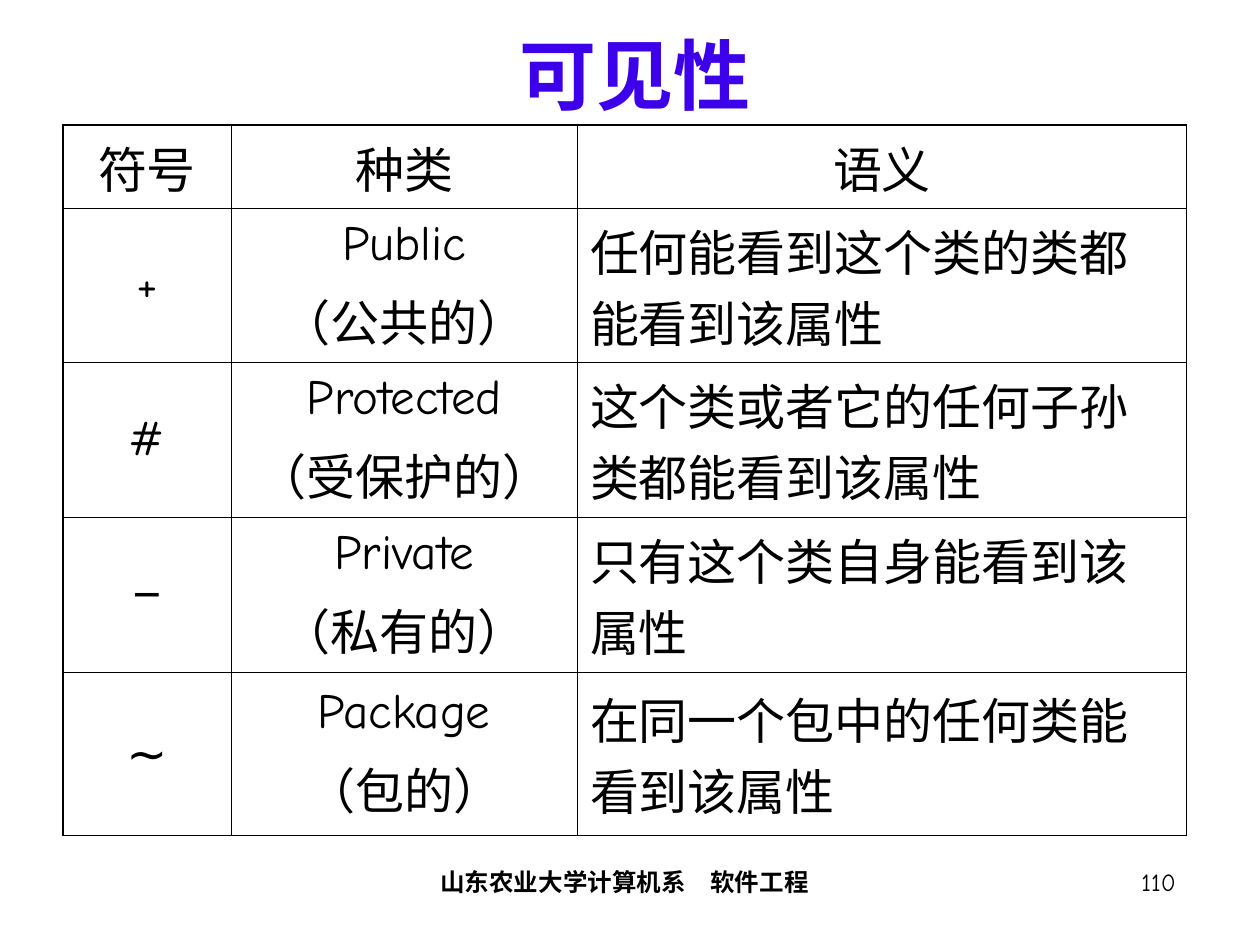
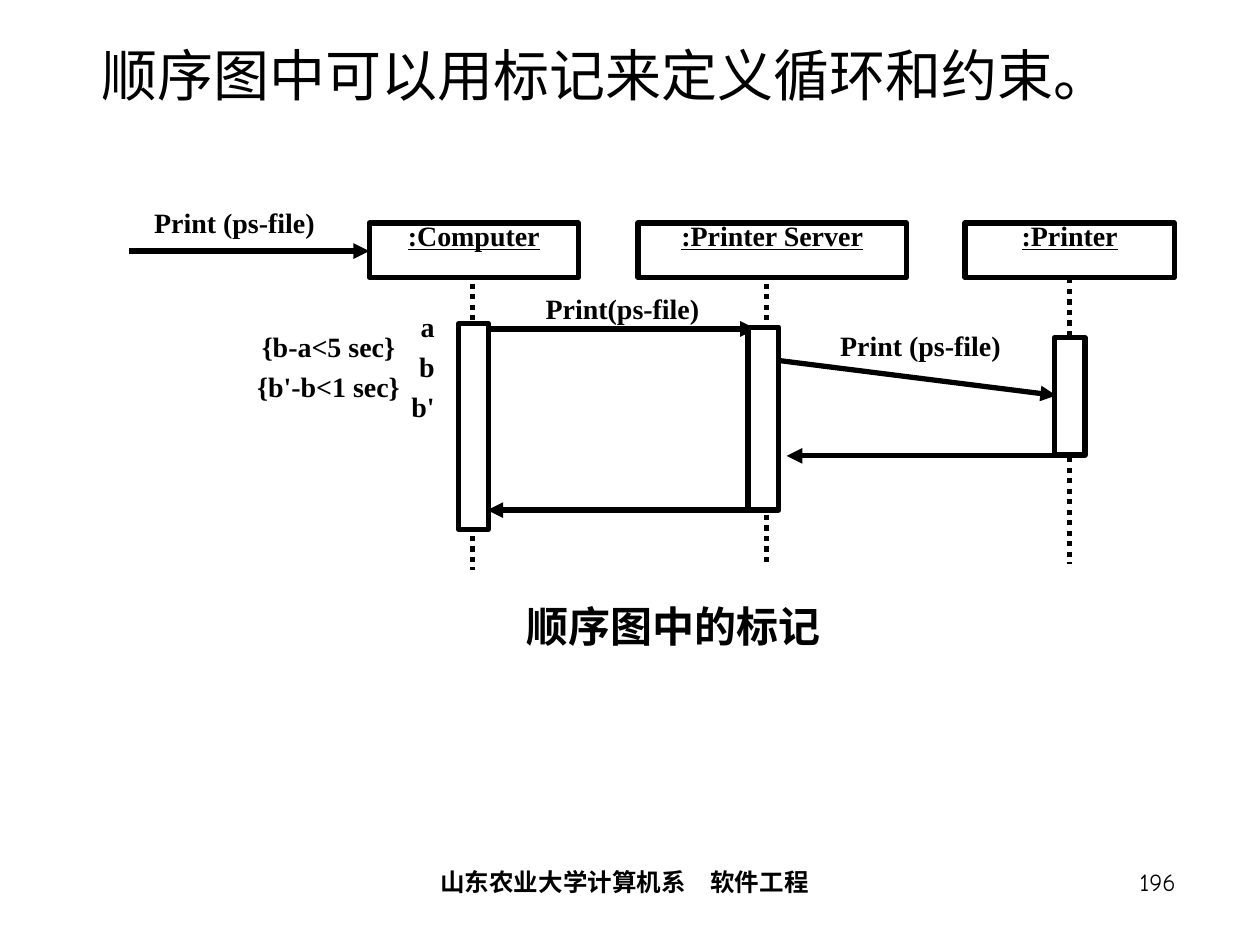
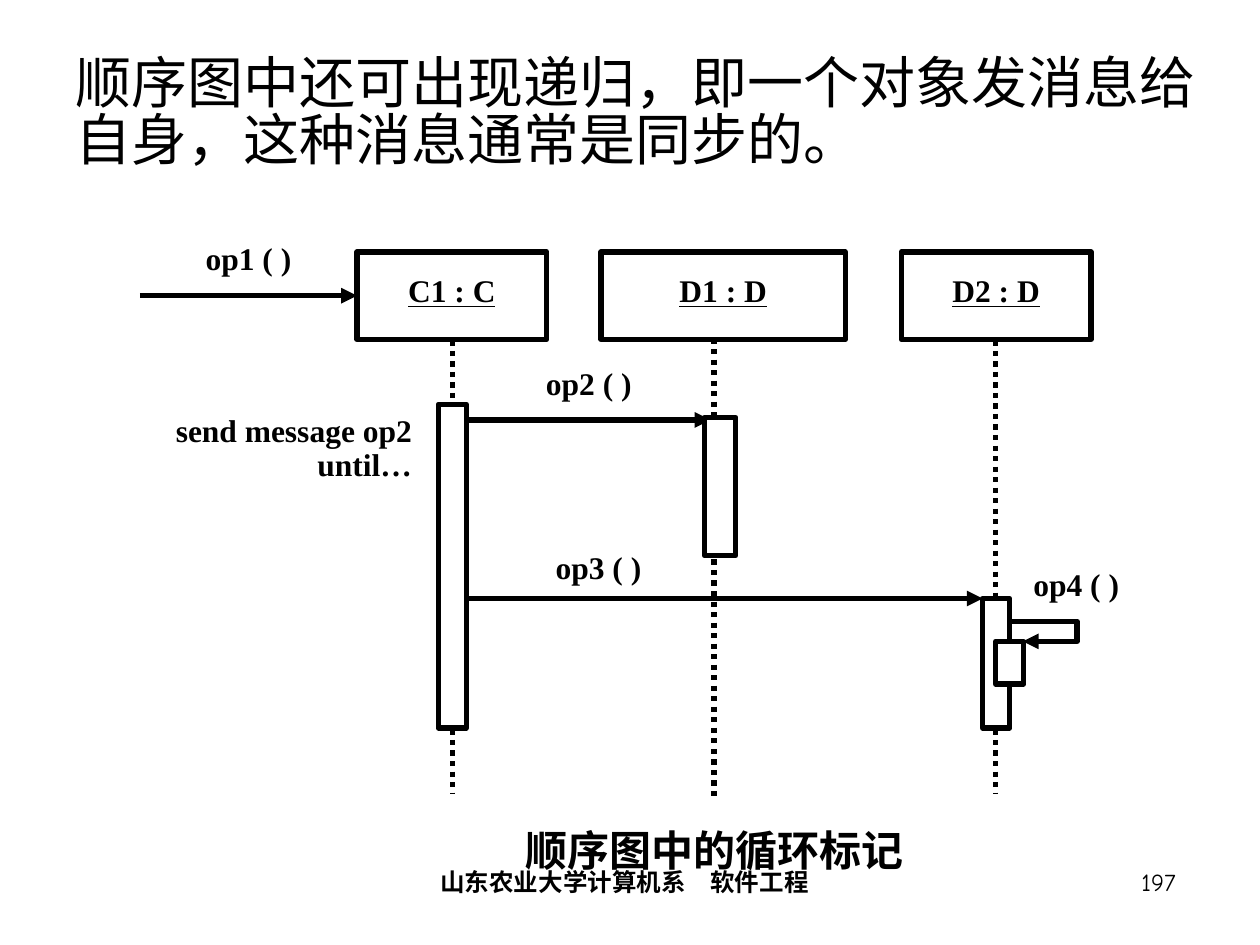
import pptx
import pptx.dml.color
import pptx.enum.dml
import pptx.enum.shapes
import pptx.enum.text
import pptx.util
import pptx.oxml

Pt = pptx.util.Pt
ALIGN = pptx.enum.text.PP_ALIGN
ANCHOR = pptx.enum.text.MSO_ANCHOR
RECTANGLE = pptx.enum.shapes.MSO_SHAPE.RECTANGLE
NAMESPACE = 'xmlns:a="http://schemas.openxmlformats.org/drawingml/2006/main"'
COLORS = {"ink": "000000", "title": "3D00EA", "paper": "FFFFFF"}
RGB = {name: pptx.dml.color.RGBColor.from_string(code) for name, code in COLORS.items()}
BODY, SERIF, SYMBOL = "Comic Neue", "Times New Roman", "Arial"
LINE_WIDTH = Pt(3)


def write(frame, lines, size, font=SERIF, bold=True, align=ALIGN.CENTER,
          anchor=ANCHOR.TOP, spacing=None, color="ink", underline=None):
    """Fill a text frame, one paragraph per line; align may be a list."""
    frame.word_wrap = True
    frame.auto_size = pptx.enum.text.MSO_AUTO_SIZE.NONE
    frame.vertical_anchor = anchor
    frame.text = "\n".join(lines)
    aligns = align if isinstance(align, list) else [align] * len(lines)
    for para, side in zip(frame.paragraphs, aligns):
        para.alignment = side
        para.line_spacing = spacing
        para.font.size = Pt(size)
        para.font.name = font
        para.font.bold = bold
        para.font.underline = underline
        para.font.color.rgb = RGB[color]


def draw_line(page, points, dotted=False):
    """Draw a dotted lifeline, or a message ending in an arrowhead."""
    points = [(Pt(x), Pt(y)) for x, y in points]
    if len(points) == 2:
        stroke = page.shapes.add_connector(
            pptx.enum.shapes.MSO_CONNECTOR.STRAIGHT, *points[0], *points[1])
    else:
        builder = page.shapes.build_freeform(*points[0])
        builder.add_line_segments(points[1:], close=False)
        stroke = builder.convert_to_shape()
        stroke.fill.background()
    stroke.line.color.rgb = RGB["ink"]
    stroke.line.width = LINE_WIDTH
    if dotted:
        stroke.line.dash_style = pptx.enum.dml.MSO_LINE.ROUND_DOT
    else:
        stroke.line._get_or_add_ln().append(
            pptx.oxml.parse_xml(f'<a:tailEnd {NAMESPACE} type="triangle"/>'))
    stroke._element.spPr.append(pptx.oxml.parse_xml(f"<a:effectLst {NAMESPACE}/>"))


deck = pptx.Presentation()
deck.slide_width, deck.slide_height = Pt(720), Pt(540)
title_only = deck.slide_layouts[5]

# Titles of all slides: text, place, left margin and style
titles = [
    ("可见性", (198, 18, 330, 48), 7.2,
     dict(size=44, color="title", anchor=ANCHOR.MIDDLE)),
    ("顺序图中可以用标记来定义循环和约束。", (30, 24, 666, 66), 28,
     dict(size=32, font=BODY, bold=False, align=ALIGN.LEFT, spacing=0.9)),
    ("顺序图中还可出现递归，即一个对象发消息给自身，这种消息通常是同步的。",
     (36, 30, 660, 102), 7.2,
     dict(size=32, font=BODY, bold=False, align=ALIGN.LEFT, spacing=0.84)),
]
for text, place, margin, style in titles:
    title = deck.slides.add_slide(title_only).shapes.title
    title.left, title.top, title.width, title.height = map(Pt, place)
    write(title.text_frame, [text], **style)
    title.text_frame.margin_left = Pt(margin)

# Visibility table
rows = [
    ("符号", "种类", "语义"),
    ("+", "Public\n（公共的）", "任何能看到这个类的类都能看到该属性"),
    ("#", "Protected\n（受保护的）", "这个类或者它的任何子孙类都能看到该属性"),
    ("−", "Private\n（私有的）", "只有这个类自身能看到该属性"),
    ("∼", "Package\n（包的）", "在同一个包中的任何类能看到该属性"),
]
column_widths = [96, 198, 348]
row_heights = [42, 81, 85, 89, 93]
table = deck.slides[0].shapes.add_table(
    len(rows), len(column_widths), Pt(36), Pt(71.5),
    Pt(sum(column_widths)), Pt(sum(row_heights))).table
table.first_row = table.horz_banding = False
for column, width in zip(table.columns, column_widths):
    column.width = Pt(width)
for r, (texts, height) in enumerate(zip(rows, row_heights)):
    table.rows[r].height = Pt(height)
    for c, text in enumerate(texts):
        cell = table.cell(r, c)
        write(cell.text_frame, text.split("\n"), 28, bold=False,
              font=SYMBOL if text in "−∼" else BODY,
              align=ALIGN.LEFT if r and c == 2 else ALIGN.CENTER)
        cell.vertical_anchor = ANCHOR.MIDDLE
        for para in cell.text_frame.paragraphs[1:]:
            para.space_before = Pt(7)
        # Thick borders outside, thin ones inside
        outer_edges = {"lnL": c == 0, "lnR": c == len(texts) - 1,
                       "lnT": r == 0, "lnB": r == len(rows) - 1}
        for tag, is_outer in outer_edges.items():
            width = Pt(1.08 if is_outer else 0.45)
            cell._tc.get_or_add_tcPr().append(pptx.oxml.parse_xml(
                f'<a:{tag} {NAMESPACE} w="{width}"><a:solidFill>'
                f'<a:srgbClr val="{COLORS["ink"]}"/></a:solidFill></a:{tag}>'))
        cell.fill.background()

# Sequence diagrams: lifelines are (x, top, bottom), places are
# (left, top, width, height), messages are lists of points
right, center = ALIGN.RIGHT, ALIGN.CENTER
diagrams = [
    dict(
        size=16, head_top=127.5, head_height=31, head_anchor=ANCHOR.TOP,
        heads=[(":Computer", 211, 119.5), (":Printer Server", 364.5, 153.5),
               (":Printer", 551.5, 119.5)],
        lifelines=[(270, 162, 325.5), (438, 162, 324), (611, 159, 322.5)],
        bars=[(262, 185, 17, 117.5), (427.5, 187, 17.5, 104.5), (602.5, 193, 17.5, 67)],
        messages=[[(74, 143.5), (211, 143.5)], [(278.5, 188), (432, 188)],
                  [(432, 291.5), (278.5, 291.5)], [(445, 206), (603.5, 226)],
                  [(602.5, 260.5), (449.5, 260.5)]],
        labels=[("Print (ps-file)", (66, 120, 136, 23), ANCHOR.TOP),
                ("Print(ps-file)", (296, 167, 119.5, 24), ANCHOR.MIDDLE),
                ("Print (ps-file)", (458, 187, 136, 26), ANCHOR.MIDDLE)],
        note=(["a", "{b-a<5 sec}", "b", "{b'-b<1 sec}", "b'"], (120, 180, 135.5, 72),
              [right, center, right, center, right], 0.6),
        caption=("顺序图中的标记", (294, 336, 238, 47.5), ALIGN.JUSTIFY, 0.88),
    ),
    dict(
        size=18, head_top=144, head_height=50, head_anchor=ANCHOR.MIDDLE,
        heads=[("C1 : C", 204, 108.5), ("D1 : D", 343.5, 139.5), ("D2 : D", 515, 108.5)],
        lifelines=[(258.5, 194.5, 453), (408, 193.5, 456), (569, 194.5, 453)],
        bars=[(250.5, 231, 16, 185), (402.5, 238.5, 18, 79),
              (561.5, 342, 15.5, 74), (569, 366.5, 16, 24.5)],
        messages=[[(80, 169), (204, 169)], [(266.5, 240), (406, 240)],
                  [(258.5, 342), (561.5, 342)],
                  [(569, 355), (615.5, 355), (615.5, 366.5), (584.5, 366.5)]],
        labels=[("op1 ( )", (103, 132, 78, 36.5), ANCHOR.MIDDLE),
                ("op2 ( )", (282, 210, 109, 24), ANCHOR.MIDDLE),
                ("op3 ( )", (288, 312, 108, 30), ANCHOR.MIDDLE),
                ("op4 ( )", (576, 312, 78, 49.5), ANCHOR.MIDDLE)],
        note=(["send message op2 until…"], (72, 234, 170.5, 54), right, 0.9),
        caption=("顺序图中的循环标记", (276, 462, 264, 54), center, 0.72),
    ),
]
for page, diagram in zip(list(deck.slides)[1:], diagrams):
    size = diagram["size"]

    # Lifelines and messages run behind the bars
    for x, top, bottom in diagram["lifelines"]:
        draw_line(page, [(x, top), (x, bottom)], dotted=True)
    for points in diagram["messages"]:
        draw_line(page, points)

    # Object heads and activation bars
    heads = [(text, (left, diagram["head_top"], width, diagram["head_height"]))
             for text, left, width in diagram["heads"]]
    for text, place in heads + [("", place) for place in diagram["bars"]]:
        box = page.shapes.add_shape(RECTANGLE, *map(Pt, place))
        box.shadow.inherit = False
        box.line.color.rgb = RGB["ink"]
        box.line.width = LINE_WIDTH
        if text:
            box.fill.background()
            write(box.text_frame, [text], size, spacing=0.64,
                  anchor=diagram["head_anchor"], underline=True)
        else:
            box.fill.solid()
            box.fill.fore_color.rgb = RGB["paper"]

    # Message labels, note and caption
    for text, place, anchor in diagram["labels"]:
        label = page.shapes.add_textbox(*map(Pt, place))
        write(label.text_frame, [text], size, anchor=anchor, spacing=0.64)
    lines, place, align, spacing = diagram["note"]
    note = page.shapes.add_textbox(*map(Pt, place))
    write(note.text_frame, lines, size, align=align, spacing=spacing)
    text, place, align, spacing = diagram["caption"]
    caption = page.shapes.add_textbox(*map(Pt, place))
    write(caption.text_frame, [text], 24, align=align, anchor=ANCHOR.MIDDLE, spacing=spacing)

# Footer and page number on every slide
for page, number in zip(deck.slides, ["110", "196", "197"]):
    footer = page.shapes.add_textbox(Pt(144), Pt(492), Pt(426), Pt(36))
    write(footer.text_frame, ["山东农业大学计算机系　软件工程"], 14, font=BODY)
    page_number = page.shapes.add_textbox(Pt(529), Pt(492), Pt(150), Pt(36))
    write(page_number.text_frame, [number], 14, font=BODY, bold=False, align=ALIGN.RIGHT)

deck.save("out.pptx")
